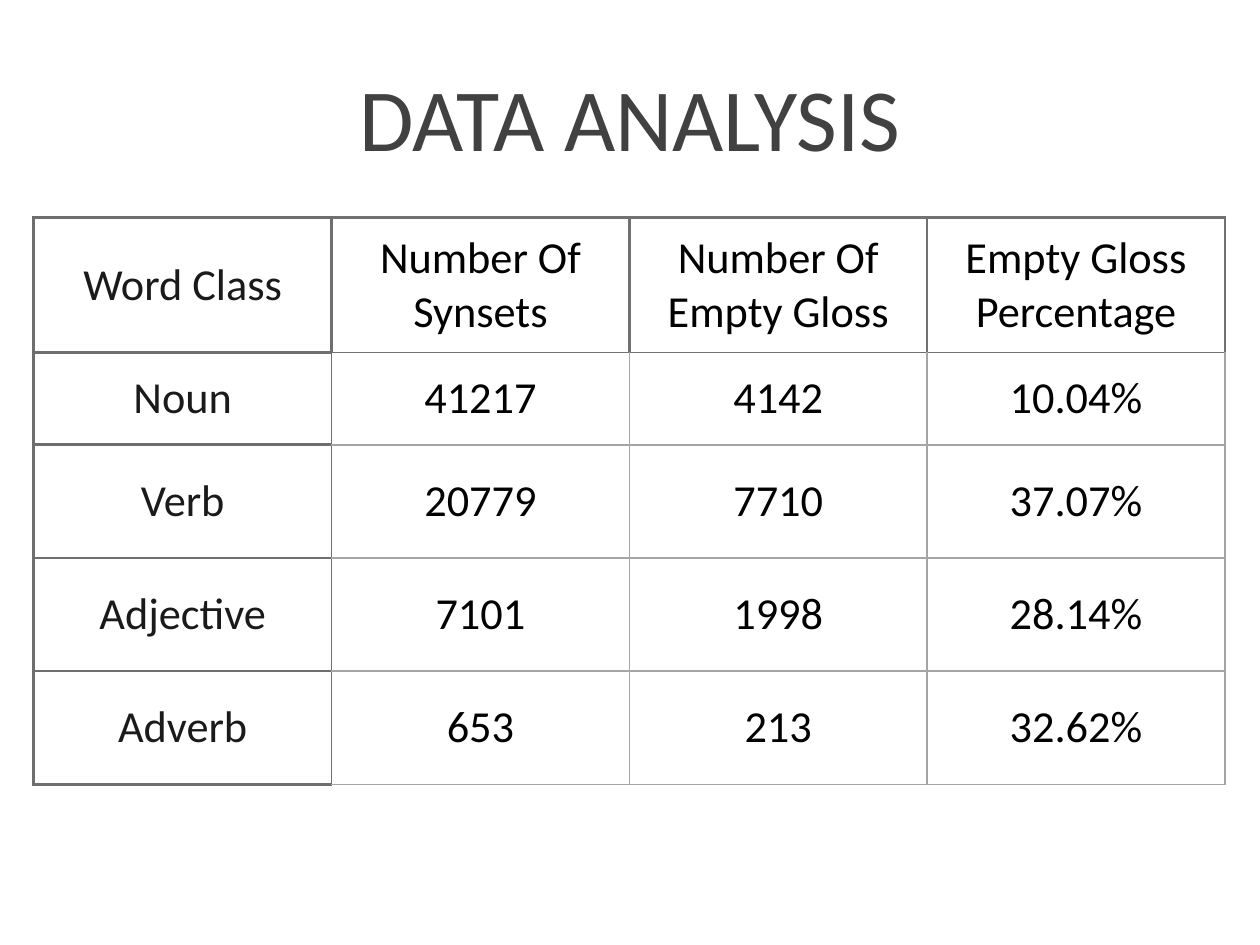
from pptx import Presentation
from pptx.dml.color import RGBColor
from pptx.enum.text import MSO_ANCHOR, MSO_AUTO_SIZE, PP_ALIGN
from pptx.oxml.ns import qn
from pptx.util import Pt
from lxml.etree import SubElement

TITLE = "DATA ANALYSIS"
ROWS = [
    ("Word Class", "Number Of Synsets", "Number Of Empty Gloss", "Empty Gloss Percentage"),
    ("Noun", "41217", "4142", "10.04%"),
    ("Verb", "20779", "7710", "37.07%"),
    ("Adjective", "7101", "1998", "28.14%"),
    ("Adverb", "653", "213", "32.62%"),
]
COLORS = {
    "title": "414141",
    "label": "1A1A1A",
    "value": "000000",
    "label_rule": "6E6E6E",
    "header_rule": "717171",
    "body_rule": "A4A5A4",
}
FONT = "Calibri"
THICK, THIN = 2.5, 1.47

SLIDE_W, SLIDE_H = 1024, 768
LEFT = 28
TITLE_TOP, TITLE_H = 20, 149
TABLE_TOP = 177
COL_W = (SLIDE_W - 2 * LEFT) / len(ROWS[0])
ROW_HEIGHTS = [109.5, 75, 92, 92, 92]
CELL_MARGINS = {"margin_left": 4, "margin_right": 4, "margin_top": 4, "margin_bottom": 4}
NO_MARGINS = dict.fromkeys(CELL_MARGINS, 0)


def vertical_rule(row, edge):
    """Colour and width of the line at a column edge, within one row."""
    if edge <= 1:
        return "label_rule", THICK if row == 0 or edge == 0 else THIN
    return ("header_rule", THICK) if row == 0 else ("body_rule", THIN)


def horizontal_rule(edge, col):
    """Colour and width of the line at a row edge, within one column."""
    if col == 0:
        return "label_rule", THICK
    return "header_rule" if edge <= 1 else "body_rule", THICK if edge == 0 else THIN


def draw_borders(cell, row, col):
    tc_pr = cell._tc.get_or_add_tcPr()
    borders = {
        "a:lnL": vertical_rule(row, col),
        "a:lnR": vertical_rule(row, col + 1),
        "a:lnT": horizontal_rule(row, col),
        "a:lnB": horizontal_rule(row + 1, col),
    }
    for tag, (color, width) in borders.items():
        ln = SubElement(tc_pr, qn(tag), w=str(int(Pt(width))))
        fill = SubElement(ln, qn("a:solidFill"))
        SubElement(fill, qn("a:srgbClr"), val=COLORS[color])


def set_margins(target, margins):
    for name, value in margins.items():
        setattr(target, name, Pt(value))


def write(tf, text, size, color):
    p = tf.paragraphs[0]
    p.alignment = PP_ALIGN.CENTER
    r = p.add_run()
    r.text = text
    for name, value in {"name": FONT, "size": Pt(size), "bold": False}.items():
        setattr(r.font, name, value)
    r.font.color.rgb = RGBColor.from_string(COLORS[color])


def add_title(s):
    sp = s.shapes.title
    sp.left, sp.top = Pt(LEFT), Pt(TITLE_TOP)
    sp.width, sp.height = Pt(SLIDE_W - 2 * LEFT), Pt(TITLE_H)
    tf = sp.text_frame
    tf.auto_size = MSO_AUTO_SIZE.NONE
    tf.word_wrap = True
    tf.vertical_anchor = MSO_ANCHOR.MIDDLE
    set_margins(tf, NO_MARGINS)
    write(tf, TITLE, 72, "title")


def add_synset_table(s):
    table = s.shapes.add_table(
        len(ROWS), len(ROWS[0]), Pt(LEFT - 0.5), Pt(TABLE_TOP),
        Pt(SLIDE_W - 2 * LEFT), Pt(sum(ROW_HEIGHTS)),
    ).table
    table.first_row = table.horz_banding = False
    for column in table.columns:
        column.width = Pt(COL_W)
    for i, (values, height) in enumerate(zip(ROWS, ROW_HEIGHTS)):
        table.rows[i].height = Pt(height)
        for j, text in enumerate(values):
            cell = table.cell(i, j)
            cell.vertical_anchor = MSO_ANCHOR.MIDDLE
            set_margins(cell, CELL_MARGINS)
            draw_borders(cell, i, j)
            cell.fill.background()
            write(cell.text_frame, text, 36, "label" if j == 0 else "value")


def main():
    prs = Presentation()
    prs.slide_width, prs.slide_height = Pt(SLIDE_W), Pt(SLIDE_H)
    s = prs.slides.add_slide(prs.slide_layouts[5])
    add_title(s)
    add_synset_table(s)
    prs.save("out.pptx")


if __name__ == "__main__":
    main()
